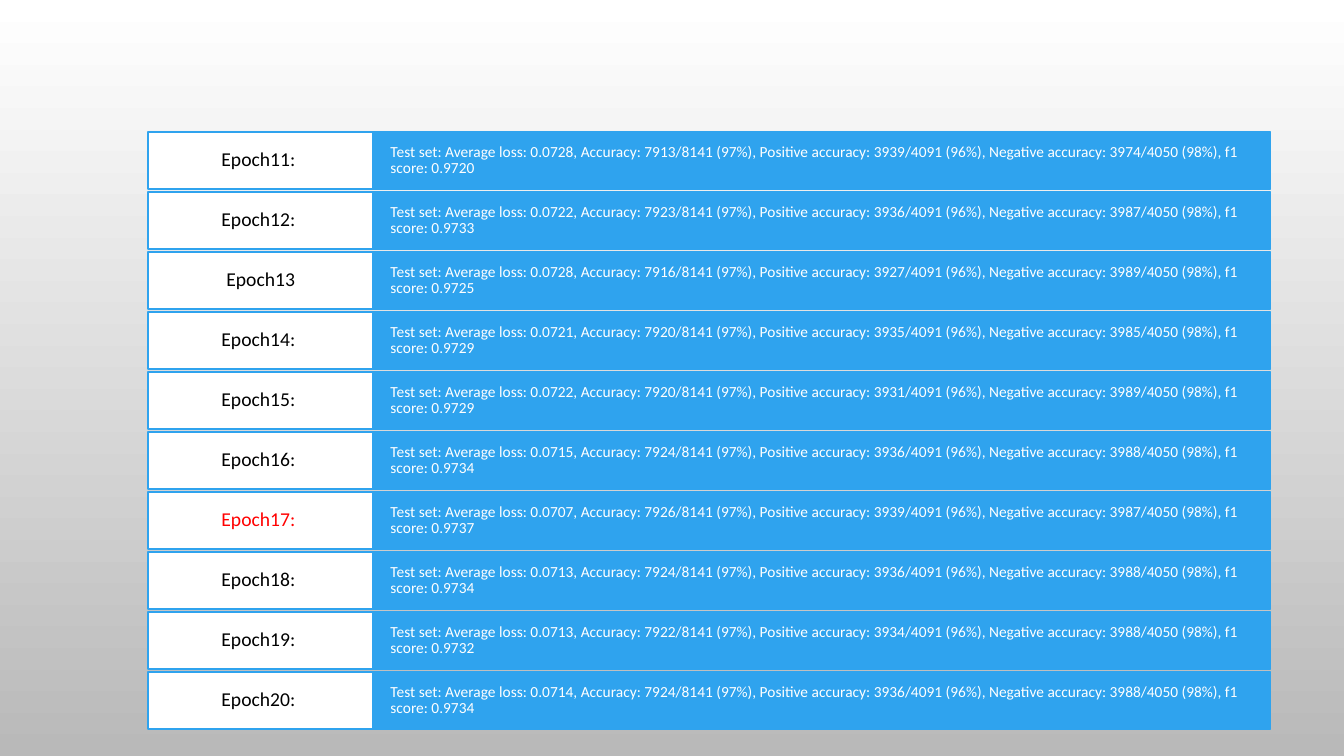
from pptx import Presentation
from pptx.dml.color import RGBColor
from pptx.enum import shapes, text
from pptx.util import Pt

BLUE = RGBColor(0x2F, 0xA3, 0xEE)
WHITE = RGBColor(0xFF, 0xFF, 0xFF)
BLACK = RGBColor(0x00, 0x00, 0x00)
RED = RGBColor(0xFF, 0x00, 0x00)
GRAY = RGBColor(0xB9, 0xB9, 0xB9)

# label, average loss, correct, positive correct, negative correct, f1 score
EPOCHS = [
    ("Epoch11: ", "0.0728", 7913, 3939, 3974, "0.9720"),
    ("Epoch12: ", "0.0722", 7923, 3936, 3987, "0.9733"),
    ("Epoch13", "0.0728", 7916, 3927, 3989, "0.9725"),
    ("Epoch14: ", "0.0721", 7920, 3935, 3985, "0.9729"),
    ("Epoch15: ", "0.0722", 7920, 3931, 3989, "0.9729"),
    ("Epoch16: ", "0.0715", 7924, 3936, 3988, "0.9734"),
    ("Epoch17: ", "0.0707", 7926, 3939, 3987, "0.9737"),
    ("Epoch18: ", "0.0713", 7924, 3936, 3988, "0.9734"),
    ("Epoch19: ", "0.0713", 7922, 3934, 3988, "0.9732"),
    ("Epoch20: ", "0.0714", 7924, 3936, 3988, "0.9734"),
]
BEST_EPOCH = "Epoch17: "

LABEL_LEFT, LABEL_WIDTH = 106, 160.5
RESULT_LEFT, RESULT_WIDTH = LABEL_LEFT + LABEL_WIDTH, 641
FIRST_TOP, ROW_HEIGHT, ROW_PITCH = 94.3, 40.5, 42.87


def add_cell(page, words, left, top, width, *, fill, color, size, align, inset):
    box = page.shapes.add_shape(shapes.MSO_SHAPE.RECTANGLE, Pt(left), Pt(top),
                                Pt(width), Pt(ROW_HEIGHT))
    box.shadow.inherit = False
    box.fill.solid()
    box.fill.fore_color.rgb = fill
    box.line.color.rgb = BLUE
    box.line.width = Pt(1.25)
    frame = box.text_frame
    frame.word_wrap = True
    frame.vertical_anchor = text.MSO_ANCHOR.MIDDLE
    frame.margin_left = frame.margin_right = Pt(inset[0])
    frame.margin_top = frame.margin_bottom = Pt(inset[1])
    para = frame.paragraphs[0]
    para.alignment = align
    para.line_spacing = 0.9
    span = para.add_run()
    span.text = words
    span.font.name = "Calibri"
    span.font.size = Pt(size)
    span.font.color.rgb = color


def main():
    deck = Presentation()
    deck.slide_width, deck.slide_height = Pt(960), Pt(540)
    page = deck.slides.add_slide(deck.slide_layouts[6])

    backdrop = page.background.fill
    backdrop.gradient()
    backdrop.gradient_angle = 270
    for stop, position, color in zip(backdrop.gradient_stops, (0, 1), (WHITE, GRAY)):
        stop.position = position
        stop.color.rgb = color

    for row, (label, loss, correct, positive, negative, score) in enumerate(EPOCHS):
        top = FIRST_TOP + row * ROW_PITCH
        result = (f"Test set: Average loss: {loss}, Accuracy: {correct}/8141 (97%), "
                  f"Positive accuracy: {positive}/4091 (96%), "
                  f"Negative accuracy: {negative}/4050 (98%), f1 score: {score}")
        add_cell(page, result, RESULT_LEFT, top, RESULT_WIDTH, fill=BLUE, color=WHITE,
                 size=11, align=text.PP_ALIGN.LEFT, inset=(12.4, 10.2))
        add_cell(page, label, LABEL_LEFT, top, LABEL_WIDTH, fill=WHITE,
                 color=RED if label == BEST_EPOCH else BLACK,
                 size=14, align=text.PP_ALIGN.CENTER, inset=(8.5, 4))

    deck.save("out.pptx")


if __name__ == "__main__":
    main()
